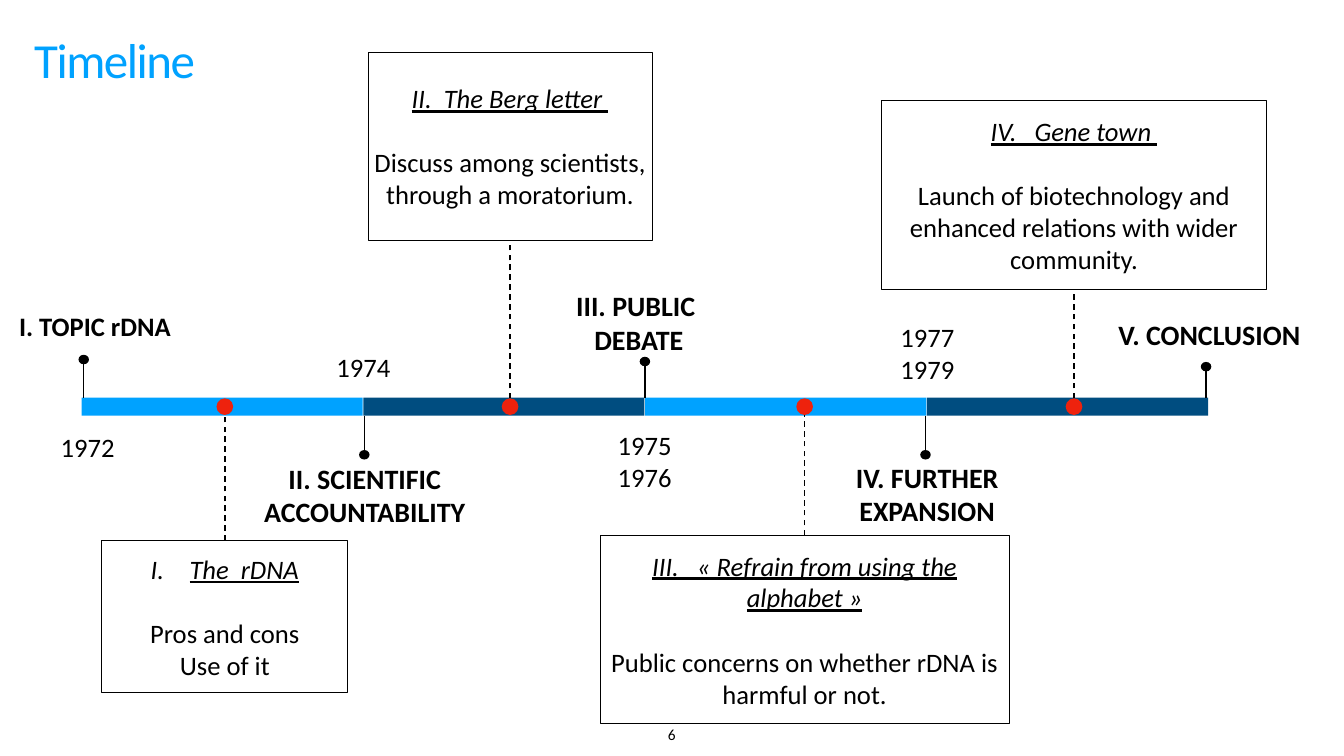
from lxml.etree import SubElement
from pptx import Presentation
from pptx.dml.color import RGBColor
from pptx.enum.dml import MSO_LINE
from pptx.enum.shapes import MSO_CONNECTOR, MSO_SHAPE
from pptx.enum.text import MSO_ANCHOR, PP_ALIGN
from pptx.oxml.ns import qn
from pptx.util import Cm, Pt

COLORS = {"sky": "00A2FF", "navy": "004D80", "red": "EE220D", "black": "000000"}
FONT = "Calibri"

BAR_LEFT, BAR_TOP, BAR_WIDTH, BAR_HEIGHT, BAR_STEP = 4.11, 20.04, 14.17, 0.91, 14.2
BAR_BOTTOM = BAR_TOP + BAR_HEIGHT
BAR_MIDDLE = BAR_TOP + BAR_HEIGHT / 2
PIN_LEFT, PIN_STEP = 4.22, 14.14

# Height of the pin head, chapter, its size and box, years and their box
STOPS = [
    (18.12, "I. TOPIC rDNA", 38, (0, 15.39, 9.58, 2.11), ["1972"], (0, 21.56, 8.84, 1.9)),
    (22.92, "II. SCIENTIFIC\vACCOUNTABILITY", 40, (12.22, 23.11, 12.32, 3.66),
     ["1974"], (11.51, 17.53, 13.61, 1.9)),
    (18.22, "III. PUBLIC \vDEBATE", 40, (26.11, 14.4, 12.17, 3.66),
     ["1975", "1976"], (25.68, 21.44, 13.61, 3.53)),
    (22.92, "IV. FURTHER EXPANSION", 40, (40.64, 23.06, 12.17, 3.66),
     ["1977", "1979"], (39.93, 16.03, 13.61, 3.53)),
    (18.48, "V. CONCLUSION", 40, (54.86, 15.88, 12.17, 1.98), [], None),
]

# Box, heading, body lines, whether the heading is numbered automatically
CARDS = [
    ((5.13, 27.25, 12.4, 7.65), "The  rDNA", ["Pros and cons", "Use of it"], True),
    ((18.54, 2.62, 14.33, 9.5), "II.  The Berg letter ",
     ["Discuss among scientists, through a moratorium."], False),
    ((30.25, 26.97, 20.6, 9.5), "III.   « Refrain from using the alphabet »",
     ["Public concerns on whether rDNA is harmful or not."], False),
    ((44.42, 5.08, 19.41, 9.5), "IV.   Gene town ",
     ["Launch of biotechnology and enhanced relations with wider community."], False),
]


def rgb(name):
    return RGBColor.from_string(COLORS[name])


def add_block(page, kind, box, color):
    block = page.shapes.add_shape(kind, *map(Cm, box))
    block.shadow.inherit = False
    block.fill.solid()
    block.fill.fore_color.rgb = rgb(color)
    block.line.fill.background()


def add_dot(page, x, y, width, height, color):
    """Draw an ellipse centred on x, y."""
    add_block(page, MSO_SHAPE.OVAL, (x - width / 2, y - height / 2, width, height), color)


def add_stem(page, x, start, end, dashed=False):
    stem = page.shapes.add_connector(MSO_CONNECTOR.STRAIGHT, Cm(x), Cm(start), Cm(x), Cm(end))
    SubElement(stem._element.spPr, qn("a:effectLst"))
    stem.line.color.rgb = rgb("black")
    stem.line.width = Pt(2)
    if dashed:
        stem.line.dash_style = MSO_LINE.DASH


def set_up_frame(frame, anchor=MSO_ANCHOR.MIDDLE, wrap=True):
    frame.word_wrap = wrap
    frame.vertical_anchor = anchor
    frame.margin_left = frame.margin_right = Cm(0.15)
    frame.margin_top = frame.margin_bottom = Cm(0.15)


def style_paragraph(para, size, color="black", align=PP_ALIGN.CENTER):
    para.alignment = align
    para.font.name = FONT
    para.font.size = Pt(size)
    para.font.color.rgb = rgb(color)


def add_label(page, box, lines, size, bold=False, anchor=MSO_ANCHOR.MIDDLE, wrap=True):
    frame = page.shapes.add_textbox(*map(Cm, box)).text_frame
    set_up_frame(frame, anchor, wrap)
    frame.text = "\n".join(lines)
    for para in frame.paragraphs:
        style_paragraph(para, size)
        para.font.bold = bold


def add_title(page, box):
    frame = page.shapes.add_textbox(*map(Cm, box)).text_frame
    set_up_frame(frame)
    para = frame.paragraphs[0]
    span = para.add_run()
    span.text = "Timeline"
    span._r.get_or_add_rPr().set("spc", "-210")
    para.line_spacing = 0.9
    style_paragraph(para, 70, "sky", PP_ALIGN.LEFT)


def add_bars(page):
    for index, color in enumerate(["sky", "navy"] * 2):
        left = BAR_LEFT + index * BAR_STEP
        add_block(page, MSO_SHAPE.RECTANGLE, (left, BAR_TOP, BAR_WIDTH, BAR_HEIGHT), color)


def add_stop(page, x, head, chapter, size, chapter_box, years, years_box):
    """Pin a chapter to the bar at x, with its years on the other side."""
    add_stem(page, x, BAR_TOP if head < BAR_TOP else BAR_BOTTOM, head)
    add_dot(page, x, head, 0.53, 0.48, "black")
    add_label(page, chapter_box, [chapter], size, bold=True)
    if years:
        add_label(page, years_box, years, 38)


def number_heading(para):
    """Give the paragraph a hanging Roman numeral."""
    properties = para._p.get_or_add_pPr()
    properties.set("marL", str(Cm(1.96)))
    properties.set("indent", str(-Cm(1.96)))
    SubElement(properties, qn("a:buFont"), typeface=FONT)
    SubElement(properties, qn("a:buAutoNum"), type="romanUcPeriod")


def add_card(page, box, heading, body, numbered):
    """Outline a text card and tie its centre to a red dot on the bar."""
    left, top, width, height = box
    x = left + width / 2
    radius = 0.42
    add_dot(page, x, BAR_MIDDLE, 2 * radius, 2 * radius, "red")
    if top < BAR_TOP:
        add_stem(page, x, BAR_MIDDLE - radius, top + height, dashed=True)
    else:
        add_stem(page, x, top, BAR_MIDDLE + radius, dashed=True)

    card = page.shapes.add_shape(MSO_SHAPE.RECTANGLE, *map(Cm, box))
    card.shadow.inherit = False
    card.fill.background()
    card.line.color.rgb = rgb("black")
    card.line.width = Pt(1)
    frame = card.text_frame
    set_up_frame(frame)
    frame.text = "\n".join([heading, *body])
    title, first, *_ = frame.paragraphs
    if numbered:
        number_heading(title)
    first.space_before = Pt(46)
    for para in frame.paragraphs:
        style_paragraph(para, 38)
    title.font.italic = True
    title.font.underline = True


def main():
    deck = Presentation()
    deck.slide_width, deck.slide_height = Cm(67.73), Cm(38.1)
    page = deck.slides.add_slide(deck.slide_layouts[6])
    add_title(page, (1.57, 1.22, 9.91, 3.89))
    add_bars(page)
    for index, stop in enumerate(STOPS):
        add_stop(page, PIN_LEFT + index * PIN_STEP, *stop)
    for card in CARDS:
        add_card(page, *card)
    add_label(page, (33.48, 36.3, 0.76, 1.35), ["6"], 22, anchor=MSO_ANCHOR.BOTTOM, wrap=False)
    deck.save("out.pptx")


if __name__ == "__main__":
    main()
